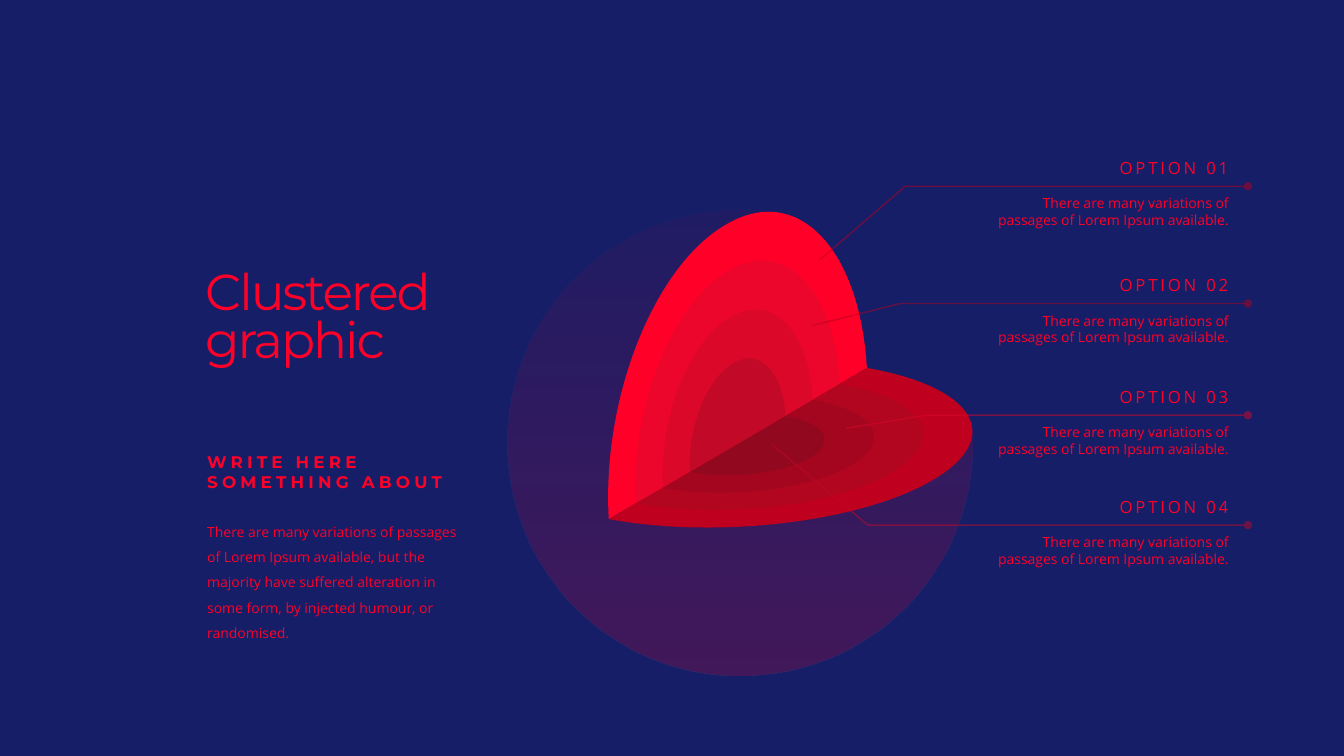
from lxml.etree import SubElement
from copy import deepcopy

from pptx import Presentation
from pptx.dml.color import RGBColor
from pptx.enum.text import MSO_AUTO_SIZE as AutoSize, PP_ALIGN as Align
from pptx.oxml.ns import qn
from pptx.util import Pt

RED = "FF0028"
rgb = RGBColor.from_string

deck = Presentation()
deck.slide_width, deck.slide_height = Pt(960), Pt(540)
page = deck.slides.add_slide(deck.slide_layouts[6])
page.background.fill.solid()
page.background.fill.fore_color.rgb = rgb("151E67")


def draw_outline(start, steps, close=True):
    """Draw a path whose steps are one point (line) or three points (Bézier curve)."""
    places = [(Pt(x), Pt(y)) for x, y in [start, *(point for step in steps for point in step)]]
    builder = page.shapes.build_freeform(*places[0], scale=1.0)
    builder.add_line_segments(places[1:], close=close)
    shape = builder.convert_to_shape()
    segments = iter(list(shape._element.iter(qn("a:lnTo"))))
    for step in steps:
        first, *others = [next(segments) for _ in step]
        if others:
            first.tag = qn("a:cubicBezTo")
            for other in others:
                first.append(other[0])
                other.getparent().remove(other)
    shape.shadow.inherit = False
    shape.line.fill.background()
    return shape


def add_text(left, top, width, height, margins, paragraphs, wrap=True, fit=True):
    """Add a box of paragraphs, each given as text, paragraph format, font format, tracking."""
    frame = page.shapes.add_textbox(Pt(left), Pt(top), Pt(width), Pt(height)).text_frame
    frame.word_wrap = wrap
    frame.auto_size = AutoSize.SHAPE_TO_FIT_TEXT if fit else AutoSize.NONE
    for side, margin in zip(("left", "top", "right", "bottom"), margins):
        setattr(frame, f"margin_{side}", Pt(margin))
    for index, (text, layout, font, tracking) in enumerate(paragraphs):
        para = frame.add_paragraph() if index else frame.paragraphs[0]
        para.text = text
        for name, value in layout.items():
            setattr(para, name, value)
        for span in para.runs:
            for name, value in font.items():
                setattr(span.font, name, value)
            span.font.color.rgb = rgb(RED)
            span.font._element.set("spc", str(int(tracking * 100)))
        for line_break in para._p.findall(qn("a:br")):
            line_break.append(deepcopy(para.runs[0].font._element))


# Translucent sphere with a wedge cut out
sphere = draw_outline((694.8, 306.7), [
    ((680, 294),), ((672, 289),), ((660, 286),),
    ((599, 269),), ((592, 214),), ((578, 175),), ((558, 152.6),),
    ((548.6, 150.5), (538.6, 149.8), (528.5, 149.8)),
    ((437, 149.8), (362.2, 224), (362.2, 316.1)),
    ((362.2, 408.2), (437, 482.4), (528.5, 482.4)),
    ((620.6, 482.4), (694.8, 408.2), (694.8, 316.1)),
])
sphere.fill.gradient()
sphere.fill.gradient_angle = 270
for stop, opacity in zip(sphere.fill.gradient_stops, (5, 20)):
    stop.color.rgb = rgb(RED)
    SubElement(stop._gs[0], qn("a:alpha"), val=str(opacity * 1000))

# Nested layers: each pair of faces shrinks towards the same centre
CENTRE = (527, 317.5)
HINGE_LEFT, HINGE_RIGHT = (434.9, 370.8), (619.2, 262.8)
UPRIGHT = ((518.4, 160.6), [
    ((467.3, 190.1), (429.8, 284.4), HINGE_LEFT), (HINGE_RIGHT,),
    ((614.2, 176.4), (568.8, 130.3), (518.4, 160.6))])
FLOOR = ((666.7, 342.7), [
    ((615.6, 373), (512.6, 385.2), HINGE_LEFT), (HINGE_RIGHT,),
    ((697, 276.5), (717.8, 312.5), (666.7, 342.7))])
LAYERS = [(RED, "BF001E"), ("EC062B", "B10520"), ("DB082A", "A4061F"), ("C20A28", "92081E")]
for level, colors in enumerate(LAYERS):
    scale = 1 - 0.21 * level
    for (start, steps), color in zip((UPRIGHT, FLOOR), colors):
        (start,), *steps = [
            [tuple(c + scale * (v - c) for v, c in zip(point, CENTRE)) for point in step]
            for step in ((start,), *steps)]
        face = draw_outline(start, steps, close=False)
        face.fill.solid()
        face.fill.fore_color.rgb = rgb(color)

# Callouts: tip on the layer, bend, line colour
CALLOUTS = [
    ((585.4, 185.8), (646.6, 133.0), "BF001E"),
    ((580.3, 232.6), (643, 216.8), "B10520"),
    ((604.1, 306), (661.7, 296.6), "DB082A"),
    ((551.5, 317.5), (619.9, 375.1), "C20A28"),
]
for number, (tip, bend, color) in enumerate(CALLOUTS, 1):
    level_y = bend[1]
    leader = draw_outline(tip, [(bend,), ((891.4, level_y),)], close=False)
    leader.fill.background()
    leader.line.width = Pt(1)
    leader.line.color.rgb = rgb(color)
    line_xml = leader.line._get_or_add_ln()
    SubElement(line_xml.find(".//" + qn("a:srgbClr")), qn("a:alpha"), val="50000")
    SubElement(line_xml, qn("a:tailEnd"), type="oval")
    right = dict(alignment=Align.RIGHT)
    add_text(694.8, level_y - 23.8, 192.2, 58.3, (9.4, 3.6, 9.4, 3.6), [
        (f"OPTION {number:02}", right, dict(name="Open Sans", size=Pt(12)), 2),
        ("There are many variations of passages of Lorem Ipsum available.",
         dict(right, space_before=Pt(12)), dict(name="Open Sans", size=Pt(10)), 0),
    ])

# Title column
add_text(146.6, 178.8, 332.6, 127.4, (0, 15.1, 0, 0), [
    ("Clustered\vgraphic", dict(line_spacing=0.8),
     dict(name="Montserrat", size=Pt(36)), -1.5)], fit=False)
add_text(148, 319.2, 168.5, 36, (0, 3.6, 0, 3.6), [
    ("WRITE HERE\vSOMETHING ABOUT", {},
     dict(name="Montserrat", size=Pt(12), bold=True), 3)], wrap=False)
add_text(148, 364.3, 180.7, 97.9, (0, 3.6, 0, 3.6), [
    ("There are many variations of passages of Lorem Ipsum available, but the majority "
     "have suffered alteration in some form, by injected humour, or randomised.",
     dict(line_spacing=1.5), dict(name="Open Sans", size=Pt(10)), 0)])

deck.save("out.pptx")
